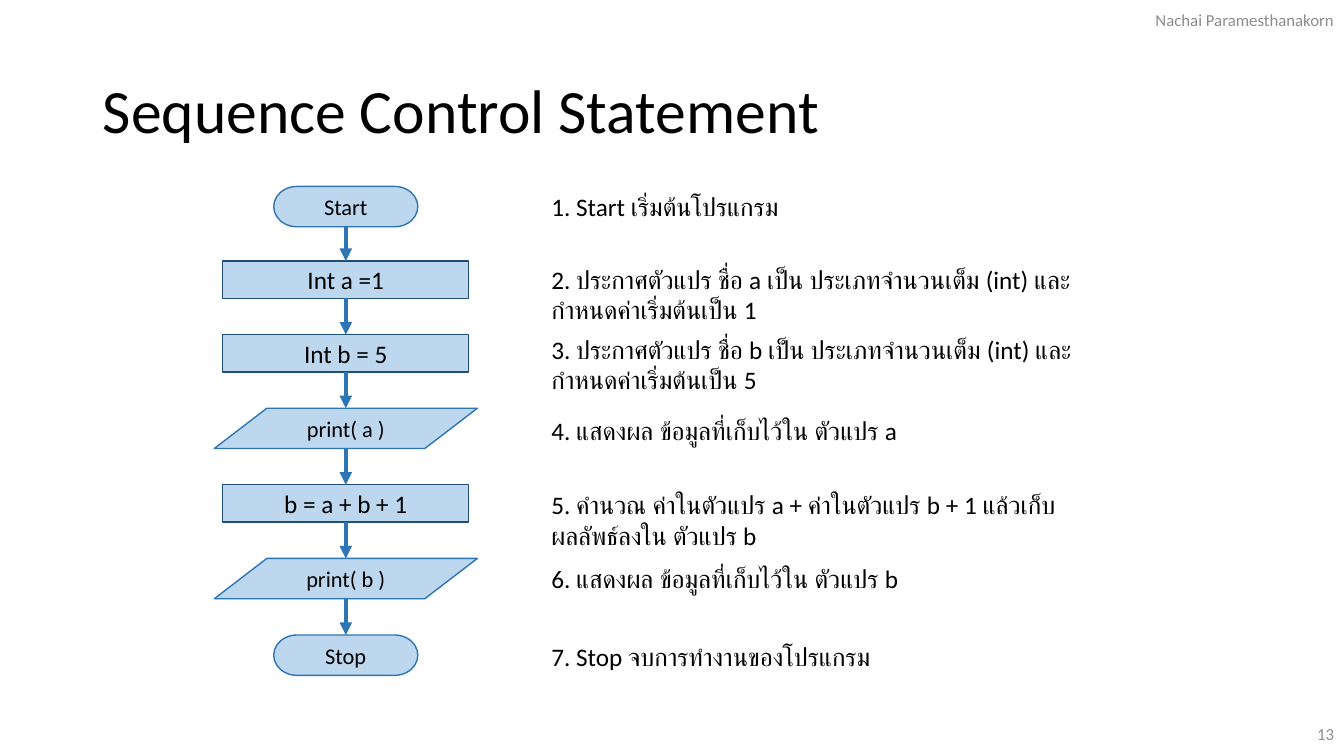
"""Builds the slide that explains a sequence control statement with a flowchart."""
import itertools

import pptx
import pptx.dml.color
import pptx.enum.shapes
import pptx.enum.text
import pptx.oxml.ns
import pptx.util
from lxml import etree

Inches = pptx.util.Inches
Preset = pptx.enum.shapes.MSO_SHAPE
Align = pptx.enum.text.PP_ALIGN
Anchor = pptx.enum.text.MSO_ANCHOR
AutoSize = pptx.enum.text.MSO_AUTO_SIZE

COLORS = {
    "text": "000000",
    "muted": "8C8C8C",
    "step": "BDD7EE",
    "flow": "2E75B6",
    "process": "1F4E79",
}
FONT = "Calibri"
FLOW_CENTER = 3.43

KINDS = {
    "terminal": (Preset.FLOWCHART_TERMINATOR, 1.43, 0.4, 16, "flow"),
    "process": (Preset.RECTANGLE, 2.44, 0.37, 18, "process"),
    "output": (Preset.FLOWCHART_DATA, 2.61, 0.4, 16, "flow"),
}

STEPS = [
    ("terminal", "Start", 1.85, 1.85, "1. Start เริ่มต้นโปรแกรม"),
    ("process", "Int a =1", 2.59, 2.57,
     "2. ประกาศตัวแปร ชื่อ a เป็น ประเภทจำนวนเต็ม (int) และ กำหนดค่าเริ่มต้นเป็น 1"),
    ("process", "Int b = 5", 3.32, 3.27,
     "3. ประกาศตัวแปร ชื่อ b เป็น ประเภทจำนวนเต็ม (int) และ กำหนดค่าเริ่มต้นเป็น 5"),
    ("output", "print( a )", 4.05, 4.07, "4. แสดงผล ข้อมูลที่เก็บไว้ใน ตัวแปร a"),
    ("process", "b = a + b + 1", 4.81, 4.81,
     "5. คำนวณ ค่าในตัวแปร a + ค่าในตัวแปร b + 1 แล้วเก็บผลลัพธ์ลงใน ตัวแปร b"),
    ("output", "print( b )", 5.54, 5.54, "6. แสดงผล ข้อมูลที่เก็บไว้ใน ตัวแปร b"),
    ("terminal", "Stop", 6.3, 6.31, "7. Stop จบการทำงานของโปรแกรม"),
]


class FlowSlide:
    """Holds the current slide and draws its elements in one style."""

    def __init__(self, presentation):
        self.slide = presentation.slides.add_slide(presentation.slide_layouts[5])

    def color(self, name):
        return pptx.dml.color.RGBColor.from_string(COLORS[name])

    def set_text(self, shape, text, size, align=Align.LEFT, anchor=Anchor.TOP, color="text"):
        frame = shape.text_frame
        frame.text = text
        frame.word_wrap = True
        frame.vertical_anchor = anchor
        paragraph = frame.paragraphs[0]
        paragraph.alignment = align
        paragraph.font.name = FONT
        paragraph.font.size = pptx.util.Pt(size)
        paragraph.font.color.rgb = self.color(color)
        return frame

    def title(self, text, left, top, width, height):
        heading = self.slide.shapes.title
        heading.left, heading.top = Inches(left), Inches(top)
        heading.width, heading.height = Inches(width), Inches(height)
        frame = self.set_text(heading, text, 44, anchor=Anchor.MIDDLE)
        frame.paragraphs[0].line_spacing = 0.9

    def label(self, text, left, top, width, height=0.4):
        box = self.slide.shapes.add_textbox(
            Inches(left), Inches(top), Inches(width), Inches(height))
        self.set_text(box, text, 12, Align.RIGHT, Anchor.MIDDLE, "muted")

    def note(self, text, top):
        box = self.slide.shapes.add_textbox(
            Inches(5.37), Inches(top), Inches(5.73), Inches(0.4))
        self.set_text(box, text, 18).auto_size = AutoSize.SHAPE_TO_FIT_TEXT

    def step(self, kind, text, top):
        preset, width, height, size, outline = KINDS[kind]
        step = self.slide.shapes.add_shape(
            preset, Inches(FLOW_CENTER - width / 2), Inches(top),
            Inches(width), Inches(height))
        step.shadow.inherit = False
        step.fill.solid()
        step.fill.fore_color.rgb = self.color("step")
        step.line.color.rgb = self.color(outline)
        step.line.width = pptx.util.Pt(1)
        self.set_text(step, text, size, Align.CENTER, Anchor.MIDDLE)
        return step

    def arrow(self, upper, lower):
        center = Inches(FLOW_CENTER)
        arrow = self.slide.shapes.add_connector(
            pptx.enum.shapes.MSO_CONNECTOR.STRAIGHT,
            center, upper.top + upper.height, center, lower.top)
        arrow.line.color.rgb = self.color("flow")
        arrow.line.width = pptx.util.Pt(3)
        qn = pptx.oxml.ns.qn
        properties = arrow._element.spPr
        etree.SubElement(properties.find(qn("a:ln")), qn("a:tailEnd"), type="triangle")
        etree.SubElement(properties, qn("a:effectLst"))


def main():
    presentation = pptx.Presentation()
    presentation.slide_width = Inches(13.33)
    presentation.slide_height = Inches(7.5)
    page = FlowSlide(presentation)
    page.title("Sequence Control Statement", 0.92, 0.4, 11.5, 1.45)
    flow = [page.step(kind, text, top) for kind, text, top, _, _ in STEPS]
    for upper, lower in itertools.pairwise(flow):
        page.arrow(upper, lower)
    for _, _, _, note_top, explanation in STEPS:
        page.note(explanation, note_top)
    page.label("13", 10.33, 7.08, 3)
    page.label("Nachai Paramesthanakorn", 10.49, 0, 2.84)
    presentation.save("out.pptx")


if __name__ == "__main__":
    main()
